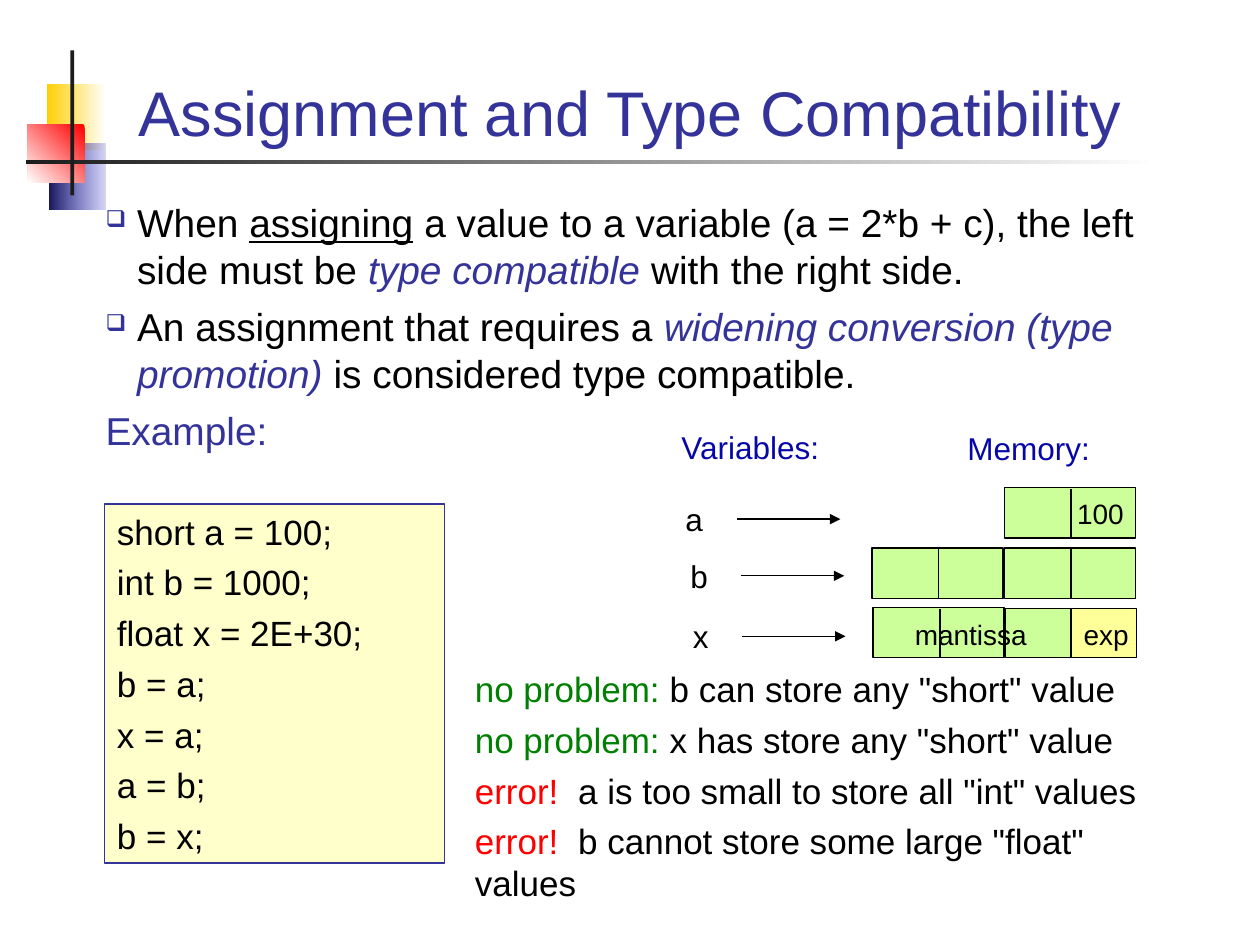
from lxml.etree import SubElement as Sub
from pptx import Presentation
from pptx.dml.color import RGBColor as RGB
from pptx.enum.shapes import MSO_CONNECTOR as Link, MSO_SHAPE as Kind
from pptx.enum.text import MSO_ANCHOR as Anchor, PP_ALIGN as Align
from pptx.oxml.ns import qn
from pptx.util import Inches, Pt

HEX = {
    "white": "FFFFFF", "black": "000000", "gold": "FFCF01", "red": "FF0000",
    "blue": "3333CC", "navy": "17175E", "coal": "1C1C1C", "indigo": "333399",
    "label": "0707A9", "cream": "FFFFCC", "lime": "CCFF99", "lemon": "FFFF99",
    "green": "008000",
}
TERM = {"color": "indigo", "italic": True}
GOOD = {"color": "green"}
BAD = {"color": "red"}

deck = Presentation()
deck.slide_width, deck.slide_height = Inches(10), Inches(7.5)
slide = deck.slides.add_slide(deck.slide_layouts[6])
shapes = slide.shapes


def rect(x, y, w, h, fill, line=None):
    """Add a rectangle; without a fill colour the caller paints it."""
    shape = shapes.add_shape(Kind.RECTANGLE, *map(Inches, (x, y, w, h)))
    shape.shadow.inherit = False
    if fill:
        shape.fill.solid()
        shape.fill.fore_color.rgb = RGB.from_string(HEX[fill])
    if line:
        shape.line.color.rgb = RGB.from_string(HEX[line])
        shape.line.width = Pt(0.75)
    else:
        shape.line.fill.background()
    return shape


def write(shape, paras, size, gap=0, align=Align.LEFT, anchor=Anchor.TOP,
          bullets=0, tab=None):
    """Fill a shape with paragraphs, each a list of (text, format) runs."""
    frame = shape.text_frame
    frame.word_wrap = True
    frame.vertical_anchor = anchor
    for i, runs in enumerate(paras):
        para = frame.paragraphs[0] if i == 0 else frame.add_paragraph()
        props = para._p.get_or_add_pPr()
        if i < bullets:
            props.set("marL", str(Inches(0.25)))
            props.set("indent", str(-Inches(0.25)))
            tint = Sub(props, qn("a:buClr"))
            Sub(tint, qn("a:srgbClr"), val=HEX["indigo"])
            Sub(props, qn("a:buSzPct"), val="60000")
            Sub(props, qn("a:buChar"), char="❑")
        if tab:
            stops = Sub(props, qn("a:tabLst"))
            Sub(stops, qn("a:tab"), pos=str(Inches(tab)), algn="l")
        para.alignment = align
        para.space_before = Pt(gap if i else 0)
        for text, look in runs:
            run = para.add_run()
            run.text = text
            look = {"name": "Arial", "size": Pt(size), "color": "black", **look}
            run.font.color.rgb = RGB.from_string(HEX[look.pop("color")])
            for key, value in look.items():
                setattr(run.font, key, value)


# Corner ornament: three fading squares and two bars
fades = [
    (0.37, 0.67, 0.47, 0.52, "white", "gold", 180),
    (0.39, 1.14, 0.45, 0.52, "blue", "navy", 180),
    (0.22, 0.99, 0.45, 0.46, "red", "white", 225),
    (0.21, 1.27, 8.99, 0.03, "white", "coal", 180),
]
for *place, start, end, angle in fades:
    shape = rect(*place, None)
    shape.fill.gradient()
    shape.fill.gradient_angle = angle
    for stop, name in zip(shape.fill.gradient_stops, (start, end)):
        stop.color.rgb = RGB.from_string(HEX[name])
    if start == "blue":
        tint = next(shape._element.iter(qn("a:srgbClr")))
        Sub(tint, qn("a:alpha"), val="20000")
rect(0.56, 0.4, 0.03, 1.15, "coal")

# Title and body
title = shapes.add_textbox(*map(Inches, (0.67, 0.28, 8.66, 0.95)))
write(title, [[("Assignment and Type Compatibility", {"color": "indigo"})]], 36,
      align=Align.CENTER, anchor=Anchor.BOTTOM)

body = shapes.add_textbox(*map(Inches, (0.74, 1.53, 8.66, 2.22)))
write(body, [
    [("When ", {}), ("assigning", {"underline": True}),
     (" a value to a variable (a = 2*b + c), the left side must be ", {}),
     ("type compatible", TERM), (" with the right side.", {})],
    [("An assignment that requires a ", {}),
     ("widening conversion (type promotion)", TERM),
     (" is considered type compatible.", {})],
    [("Example:", {"color": "indigo"})],
], 22.2, gap=6, bullets=2)

# Code and remarks
code = ["short a = 100;", "int b = 1000;", "float x = 2E+30;",
        "b = a;", "x = a;", "a = b;", "b = x;"]
panel = rect(0.83, 4, 2.7, 2.85, "cream", "indigo")
write(panel, [[(row, {})] for row in code], 20, gap=5)

notes = shapes.add_textbox(*map(Inches, (3.67, 5.25, 5.7, 1.98)))
write(notes, [
    [("no problem:", GOOD), (' b can store any "short" value', {})],
    [("no problem:", GOOD), (' x has store any "short" value', {})],
    [("error!", BAD), ('\ta is too small to store all "int" values', {})],
    [("error!", BAD), ('\tb cannot store some large "float" values', {})],
], 20, gap=5, tab=0.82)

# Memory: two-byte cells, each split by a line, then the last two bytes of x
lines = []
for x, y in [(7.97, 3.87), (7.97, 4.35), (6.92, 4.35), (6.93, 4.82)]:
    rect(x, y, 1.04, 0.4, "lime", "black")
    lines.append((x + 0.53, y + 0.01, x + 0.53, y + 0.4, False))
for x, fill in [(7.98, "lime"), (8.5, "lemon")]:
    rect(x, 4.83, 0.52, 0.39, fill, "black")

# Arrows from the variables
for x, y in [(5.85, 4.12), (5.88, 4.57), (5.89, 5.05)]:
    lines.append((x, y, x + 0.82, y, True))
for *ends, arrow in lines:
    link = shapes.add_connector(Link.STRAIGHT, *map(Inches, ends))
    link.line.color.rgb = RGB.from_string(HEX["black"])
    link.line.width = Pt(0.75)
    if arrow:
        Sub(link.line._get_or_add_ln(), qn("a:tailEnd"), type="triangle")
    Sub(link._element.spPr, qn("a:effectLst"))

# Labels
labels = [
    ("Variables:", 5.31, 3.35, 1.48, 18, "label", Align.LEFT),
    ("Memory:", 7.58, 3.36, 1.27, 18, "label", Align.LEFT),
    ("a", 5.34, 3.92, 0.41, 18, "black", Align.LEFT),
    ("b", 5.38, 4.37, 0.41, 18, "black", Align.LEFT),
    ("x", 5.4, 4.85, 0.39, 18, "black", Align.LEFT),
    ("100", 8.45, 3.89, 0.6, 16, "black", Align.LEFT),
    ("exp", 8.5, 4.85, 0.56, 16, "black", Align.CENTER),
    ("mantissa", 7.03, 4.85, 1.35, 16, "black", Align.CENTER),
]
for text, x, y, w, size, color, align in labels:
    label = shapes.add_textbox(*map(Inches, (x, y, w, 0.4)))
    write(label, [[(text, {"color": color})]], size, align=align)

deck.save("out.pptx")
